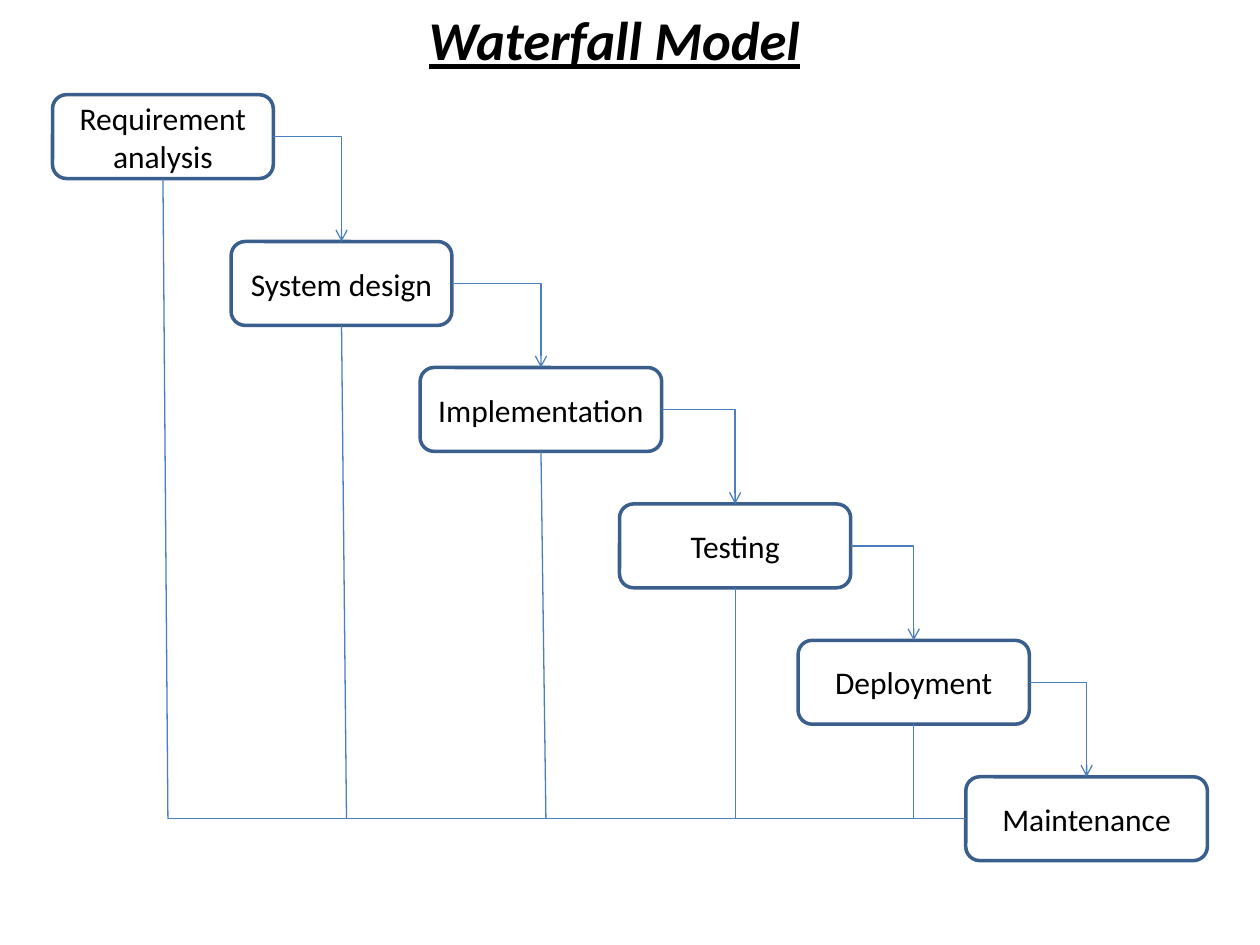
from lxml import etree
from pptx import Presentation
from pptx import util as u
from pptx.dml.color import RGBColor
from pptx.enum import shapes, text
from pptx.oxml.ns import qn

# Content: phase, left, top, width, sideways drift of its feedback line (cm)
TITLE = "Waterfall Model"
PHASES = [
    ("Requirement analysis", 1.06, 1.91, 4.45, 0.1),
    ("System design", 4.66, 4.87, 4.45, 0.1),
    ("Implementation", 8.47, 7.41, 4.87, 0.1),
    ("Testing", 12.49, 10.16, 4.66, 0),
    ("Deployment", 16.09, 12.91, 4.66, 0),
    ("Maintenance", 19.47, 15.66, 4.87, 0),
]
BOX_HEIGHT = 1.69
TOP, LEFT, BOTTOM, RIGHT = range(4)  # connection sites of a box

THEME = {
    "font": "Calibri",
    "ink": RGBColor(0x00, 0x00, 0x00),
    "paper": RGBColor(0xFF, 0xFF, 0xFF),
    "border": RGBColor(0x3A, 0x5F, 0x8C),
    "flow": RGBColor(0x4B, 0x7E, 0xBC),
    "title_size": u.Pt(31.2),
    "phase_size": u.Pt(18),
    "border_width": u.Pt(2),
    "flow_width": u.Pt(0.75),
}


def write(frame, words, size, emphasis=False):
    frame.word_wrap = True
    paragraph = frame.paragraphs[0]
    paragraph.alignment = text.PP_ALIGN.CENTER
    run = paragraph.add_run()
    run.text = words
    font = run.font
    font.name, font.size = THEME["font"], size
    font.color.rgb = THEME["ink"]
    font.bold = font.italic = font.underline = emphasis


def add_phase(slide, words, left, top, width):
    box = slide.shapes.add_shape(
        shapes.MSO_SHAPE.ROUNDED_RECTANGLE,
        u.Cm(left), u.Cm(top), u.Cm(width), u.Cm(BOX_HEIGHT))
    box.shadow.inherit = False
    box.fill.solid()
    box.fill.fore_color.rgb = THEME["paper"]
    box.line.color.rgb = THEME["border"]
    box.line.width = THEME["border_width"]
    box.text_frame.vertical_anchor = text.MSO_ANCHOR.MIDDLE
    write(box.text_frame, words, THEME["phase_size"])
    return box


def add_flow(slide, kind, start=(0, 0), end=(0, 0)):
    flow = slide.shapes.add_connector(kind, *start, *end)
    flow.line.color.rgb = THEME["flow"]
    flow.line.width = THEME["flow_width"]
    etree.SubElement(flow.element.spPr, qn("a:effectLst"))
    return flow


def add_step(slide, source, target):
    """One-corner arrow from the right of a phase to the top of the next."""
    step = add_flow(slide, shapes.MSO_CONNECTOR.ELBOW)
    step.begin_connect(source, RIGHT)
    step.end_connect(target, TOP)
    step.element.spPr.find(qn("a:prstGeom")).set("prst", "bentConnector2")
    etree.SubElement(step.line._get_or_add_ln(), qn("a:tailEnd"), type="arrow")


def main():
    deck = Presentation()
    deck.slide_width, deck.slide_height = u.Cm(25.4), u.Cm(19.05)
    slide = deck.slides.add_slide(deck.slide_layouts[6])

    # Phases, stepping down to the right
    boxes = [add_phase(slide, *phase[:4]) for phase in PHASES]

    # Forward arrows
    for source, target in zip(boxes, boxes[1:]):
        add_step(slide, source, target)

    # Feedback rail from the last phase, with a drop from each earlier one
    straight = shapes.MSO_CONNECTOR.STRAIGHT
    last = boxes[-1]
    rail_y = last.top + last.height // 2
    drop_ends = [box.left + box.width // 2 + u.Cm(phase[4])
                 for box, phase in zip(boxes[:-1], PHASES)]
    rail = add_flow(slide, straight, end=(drop_ends[0], rail_y))
    rail.begin_connect(last, LEFT)
    for box, x in zip(boxes, drop_ends):
        drop = add_flow(slide, straight, end=(x, rail_y))
        drop.begin_connect(box, BOTTOM)

    # Title
    heading = slide.shapes.add_textbox(0, 0, u.Cm(24.77), u.Cm(1.7))
    write(heading.text_frame, TITLE, THEME["title_size"], emphasis=True)

    deck.save("out.pptx")


if __name__ == "__main__":
    main()
